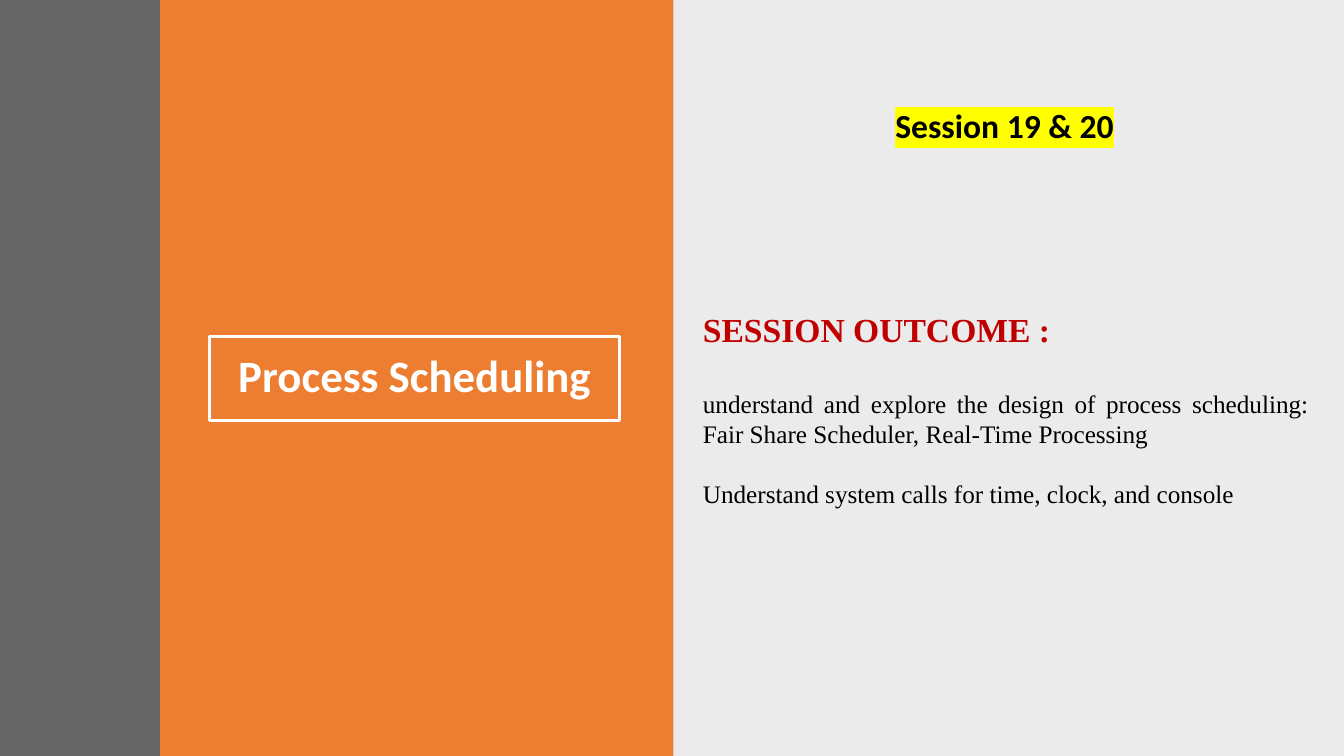
import pptx
import pptx.util
import pptx.dml.color
import pptx.enum.shapes
import pptx.enum.text
import pptx.oxml
import pptx.oxml.ns

WIDE, HIGH = 13.33, 7.5
COLORS = {
    "black": "000000", "white": "FFFFFF", "orange": "ED7D31",
    "gray": "404040", "red": "C00000", "yellow": "FFFF00",
}
ALIGN = pptx.enum.text.PP_ALIGN
NS = pptx.oxml.ns.nsdecls("a")


def rgb(name):
    return pptx.dml.color.RGBColor.from_string(COLORS[name])


def place(x, y, w, h):
    """Turn percent shares of the slide into lengths."""
    return [pptx.util.Inches(share * side / 100)
            for share, side in zip((x, y, w, h), (WIDE, HIGH) * 2)]


def panel(slide, area, fill=None, alpha=100, line=None):
    """Add a flat rectangle, filled or outlined."""
    shape = slide.shapes.add_shape(
        pptx.enum.shapes.MSO_SHAPE.RECTANGLE, *place(*area))
    shape.shadow.inherit = False
    if fill:
        shape.fill.solid()
        shape.fill.fore_color.rgb = rgb(fill)
        if alpha < 100:
            tint = shape.fill._xPr.find(".//" + pptx.oxml.ns.qn("a:srgbClr"))
            tint.append(pptx.oxml.parse_xml(
                f'<a:alpha {NS} val="{alpha * 1000}"/>'))
    else:
        shape.fill.background()
    if line:
        shape.line.color.rgb = rgb(line)
        shape.line.width = pptx.util.Pt(2)
    else:
        shape.line.fill.background()
    return shape


def box(slide, area, inset=None):
    """Add a wrapping text box and return its frame."""
    frame = slide.shapes.add_textbox(*place(*area)).text_frame
    frame.word_wrap = True
    if inset is not None:
        frame.margin_left = frame.margin_right = pptx.util.Inches(inset)
        frame.margin_top = frame.margin_bottom = pptx.util.Inches(inset)
    return frame


def write(frame, text, size=18, font="Calibri", color="black", bold=False,
          align=ALIGN.CENTER, lines=1.0, before=0, mark=None):
    """Add one formatted paragraph, using the empty first one if free."""
    first = frame.paragraphs[0]
    para = frame.add_paragraph() if first.runs else first
    para.alignment = align
    para.line_spacing = lines
    para.space_before = pptx.util.Pt(before)
    run = para.add_run()
    run.text = text
    run.font.size = pptx.util.Pt(size)
    run.font.bold = bold
    run.font.color.rgb = rgb(color)
    if mark:
        run.font._rPr.append(pptx.oxml.parse_xml(
            f'<a:highlight {NS}><a:srgbClr val="{COLORS[mark]}"/>'
            '</a:highlight>'))
    run.font.name = font


def main():
    deck = pptx.Presentation()
    deck.slide_width = pptx.util.Inches(WIDE)
    deck.slide_height = pptx.util.Inches(HIGH)
    slide = deck.slides.add_slide(deck.slide_layouts[6])

    # Background panels
    panel(slide, (50, 0, 50, 100), fill="black", alpha=8)
    panel(slide, (11.9, 0, 38.2, 100), fill="orange")
    panel(slide, (0, 0, 11.9, 100), fill="gray", alpha=80)

    # Framed title
    title = panel(slide, (15.6, 44.5, 30.5, 11.1), line="white").text_frame
    title.word_wrap = True
    title.vertical_anchor = pptx.enum.text.MSO_ANCHOR.MIDDLE
    write(title, "Process Scheduling", size=32, color="white", bold=True,
          lines=0.9)

    # Session number
    session = box(slide, (54, 14.3, 41.5, 5.9))
    write(session, "Session 19 & 20", size=24, bold=True, lines=0.8,
          mark="yellow")

    # Session outcome
    goals = box(slide, (52.3, 40.9, 45.1, 27), inset=0)
    style = {"font": "Times New Roman", "align": ALIGN.JUSTIFY}
    write(goals, "SESSION OUTCOME :", size=24, color="red", bold=True, **style)
    write(goals, "understand and explore the design of process scheduling: "
          "Fair Share Scheduler, Real-Time Processing", before=27.5, **style)
    write(goals, "Understand system calls for time, clock, and console",
          before=21, **style)

    deck.save("out.pptx")


if __name__ == "__main__":
    main()
